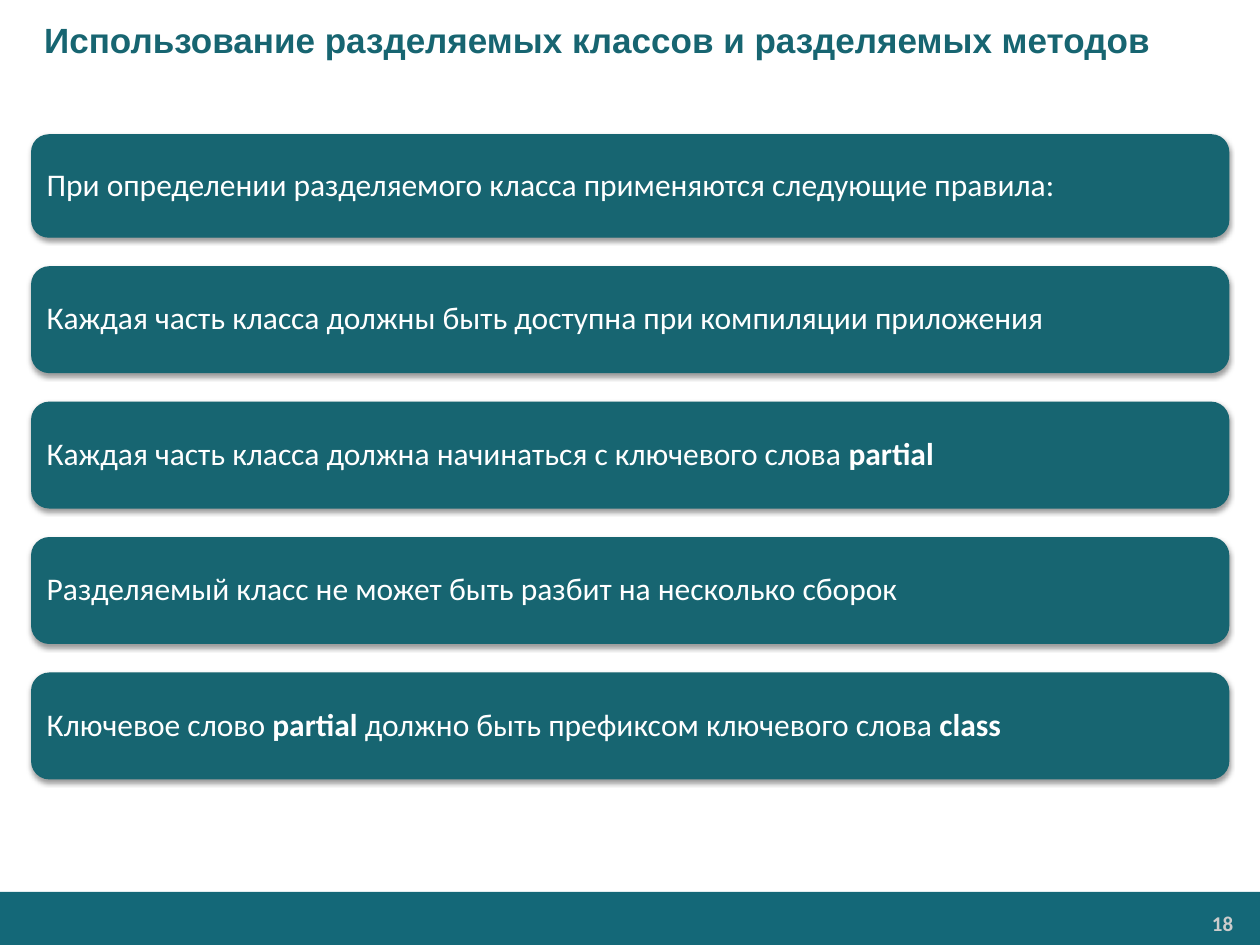
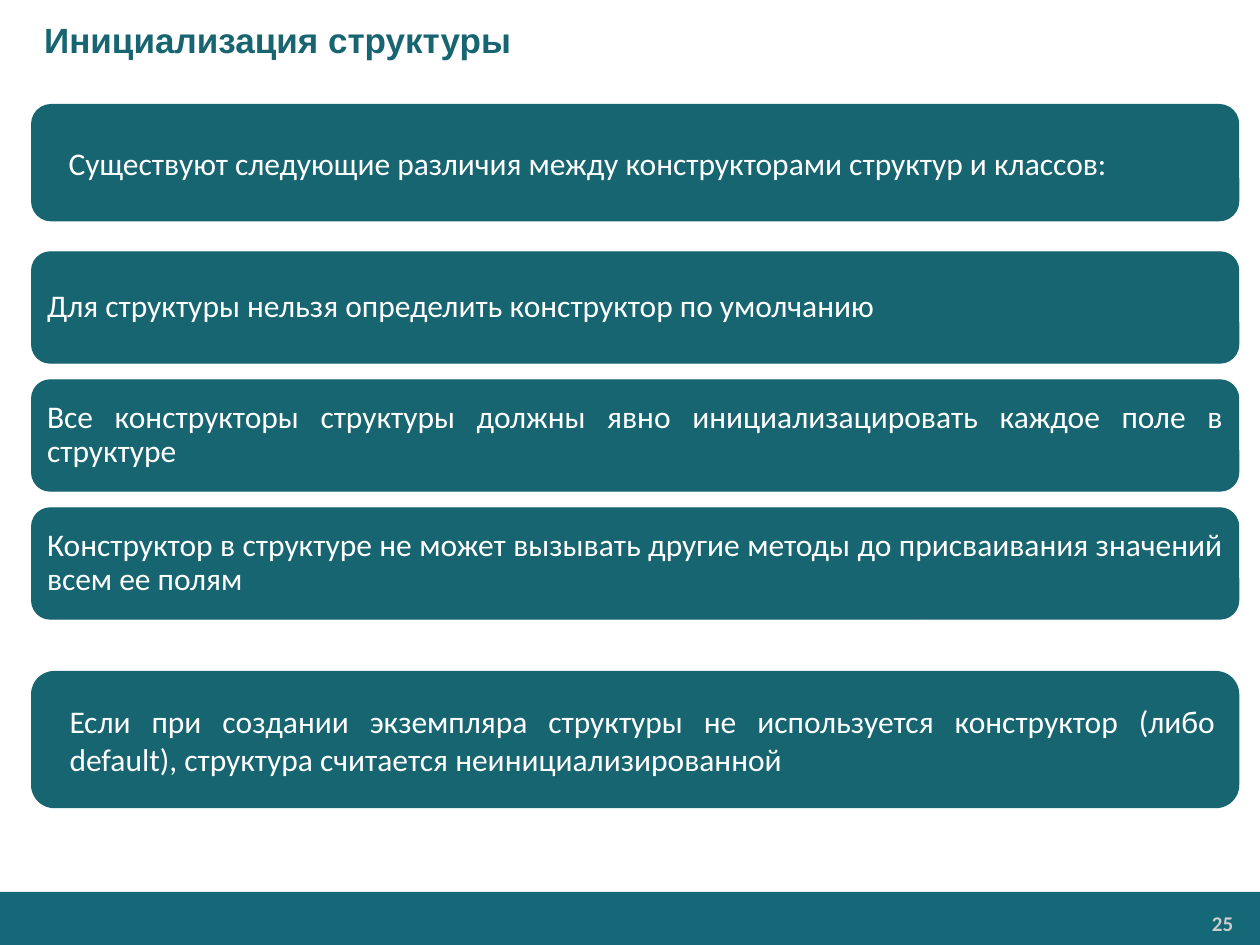
import dataclasses

import pptx
import pptx.dml.color
import pptx.enum.shapes
import pptx.enum.text
import pptx.oxml
import pptx.oxml.ns
import pptx.util

Cm = pptx.util.Cm
Pt = pptx.util.Pt
RGB = pptx.dml.color.RGBColor.from_string
Kind = pptx.enum.shapes.MSO_SHAPE
Align = pptx.enum.text.PP_ALIGN
Anchor = pptx.enum.text.MSO_ANCHOR


@dataclasses.dataclass(frozen=True)
class Theme:
    teal: str = "176571"
    band: str = "146878"
    white: str = "FFFFFF"
    grey: str = "CCCCCC"
    head: str = "Arial"
    body: str = "Calibri"
    big: int = 20
    text: int = 18
    small: int = 12


@dataclasses.dataclass(frozen=True)
class Box:
    left: float
    top: float
    width: float
    height: float

    def place(self):
        return [Cm(n) for n in (self.left, self.top, self.width, self.height)]


THEME = Theme()
PAGE = Box(0, 0, 25.4, 19.05)
RULE = {"pad": (0.2, 0.2), "indent": 0, "space": 0.9}
FRAME = {"pad": (0.33, 0.15), "indent": 0.3, "space": 1.0}


def apply(item, form):
    for name, value in form.items():
        setattr(item, name, value)


def write(frame, text, font, align, pad, indent=0, space=1.0, anchor=Anchor.MIDDLE):
    """Fill a frame with one paragraph; the parts between asterisks are bold."""
    side, edge = (Cm(n) for n in pad)
    apply(frame, {
        "word_wrap": True, "vertical_anchor": anchor,
        "margin_left": side, "margin_right": side,
        "margin_top": edge, "margin_bottom": edge,
    })
    para = frame.paragraphs[0]
    apply(para, {"alignment": align, "line_spacing": space})
    props = para._p.get_or_add_pPr()
    props.set("marL", str(Cm(indent)))
    props.set("indent", "0")
    name, size, tint, bold = font
    for i, part in enumerate(text.split("*")):
        if part:
            run = para.add_run()
            run.text = part
            apply(run.font, {"name": name, "size": Pt(size), "bold": bold or i % 2 == 1})
            run.font.color.rgb = RGB(tint)


def paint(slide, kind, box, tint):
    shape = slide.shapes.add_shape(kind, *box.place())
    shape.shadow.inherit = False
    shape.fill.solid()
    shape.fill.fore_color.rgb = RGB(tint)
    shape.line.color.rgb = RGB(tint)
    shape.line.width = Pt(0.75)
    return shape


def shade(shape):
    """Add a soft shadow straight below the shape."""
    space = pptx.oxml.ns.nsdecls("a")
    glow = pptx.oxml.parse_xml(
        f'<a:outerShdw {space} blurRad="{Pt(3.1)}" dist="{Pt(1.6)}" dir="5400000" rotWithShape="0">'
        '<a:srgbClr val="000000"><a:alpha val="38000"/></a:srgbClr></a:outerShdw>')
    shape._element.spPr.find(pptx.oxml.ns.qn("a:effectLst")).append(glow)


def panel(slide, box, text, style, lift=False):
    shape = paint(slide, Kind.ROUNDED_RECTANGLE, box, THEME.teal)
    if lift:
        shade(shape)
    font = (THEME.body, THEME.text, THEME.white, False)
    write(shape.text_frame, text, font, Align.JUSTIFY, **style)


def stack(slide, box, texts, gap, lift=False, first=None):
    """Stack panels as tall as the box; the first may have its own height."""
    top = box.top
    for i, text in enumerate(texts):
        tall = first if first and i == 0 else box.height
        panel(slide, Box(box.left, top, box.width, tall), text, RULE, lift)
        top += tall + gap


def footer(slide, box, number):
    band = paint(slide, Kind.RECTANGLE, box, THEME.band)
    band.line.fill.background()
    label = Box(box.left + 20.9, box.top + 0.28, 4.14, 0.71)
    note = slide.shapes.add_textbox(*label.place())
    font = (THEME.body, THEME.small, THEME.grey, True)
    write(note.text_frame, str(number), font, Align.RIGHT, (0.18, 0.1), anchor=Anchor.TOP)


def header(slide, box, text):
    title = slide.shapes.title
    apply(title, dict(zip(("left", "top", "width", "height"), box.place())))
    title.text_frame.auto_size = pptx.enum.text.MSO_AUTO_SIZE.NONE
    font = (THEME.head, THEME.big, THEME.teal, True)
    write(title.text_frame, text, font, Align.LEFT, (0.25, 0.13), indent=0.64)


def start(deck, title, number):
    slide = deck.slides.add_slide(deck.slide_layouts.get_by_name("Title Only"))
    footer(slide, Box(0, 17.98, PAGE.width, 1.09), number)
    header(slide, Box(0, 0, PAGE.width, 1.6), title)
    return slide


def partials(deck):
    slide = start(deck, "Использование разделяемых классов и разделяемых методов", 18)
    stack(slide, Box(0.64, 2.72, 24.13, 2.13), [
        "При определении разделяемого класса применяются следующие правила:",
        "Каждая часть класса должны быть доступна при компиляции приложения",
        "Каждая часть класса должна начинаться с ключевого слова *partial*",
        "Разделяемый класс не может быть разбит на несколько сборок",
        "Ключевое слово *partial *должно быть префиксом ключевого слова *class*",
    ], gap=0.6, lift=True, first=2.06)


def structs(deck):
    slide = start(deck, "Инициализация структуры", 25)
    left, width = 0.64, 24.33
    panel(slide, Box(left, 2.11, width, 2.34),
          "Существуют следующие различия между конструкторами структур и классов:", FRAME)
    panel(slide, Box(left, 13.54, width, 2.74),
          "Если при создании экземпляра структуры не используется конструктор "
          "(либо default), структура считается неинициализированной", FRAME)
    stack(slide, Box(left, 5.08, width, 2.24), [
        "Для структуры нельзя определить конструктор по умолчанию ",
        "Все конструкторы структуры должны явно инициализацировать каждое поле в структуре",
        "Конструктор в структуре не может вызывать другие методы "
        "до присваивания значений всем ее полям",
    ], gap=0.34)


def main():
    deck = pptx.Presentation()
    apply(deck, {"slide_width": Cm(PAGE.width), "slide_height": Cm(PAGE.height)})
    partials(deck)
    structs(deck)
    deck.save("out.pptx")


if __name__ == "__main__":
    main()
